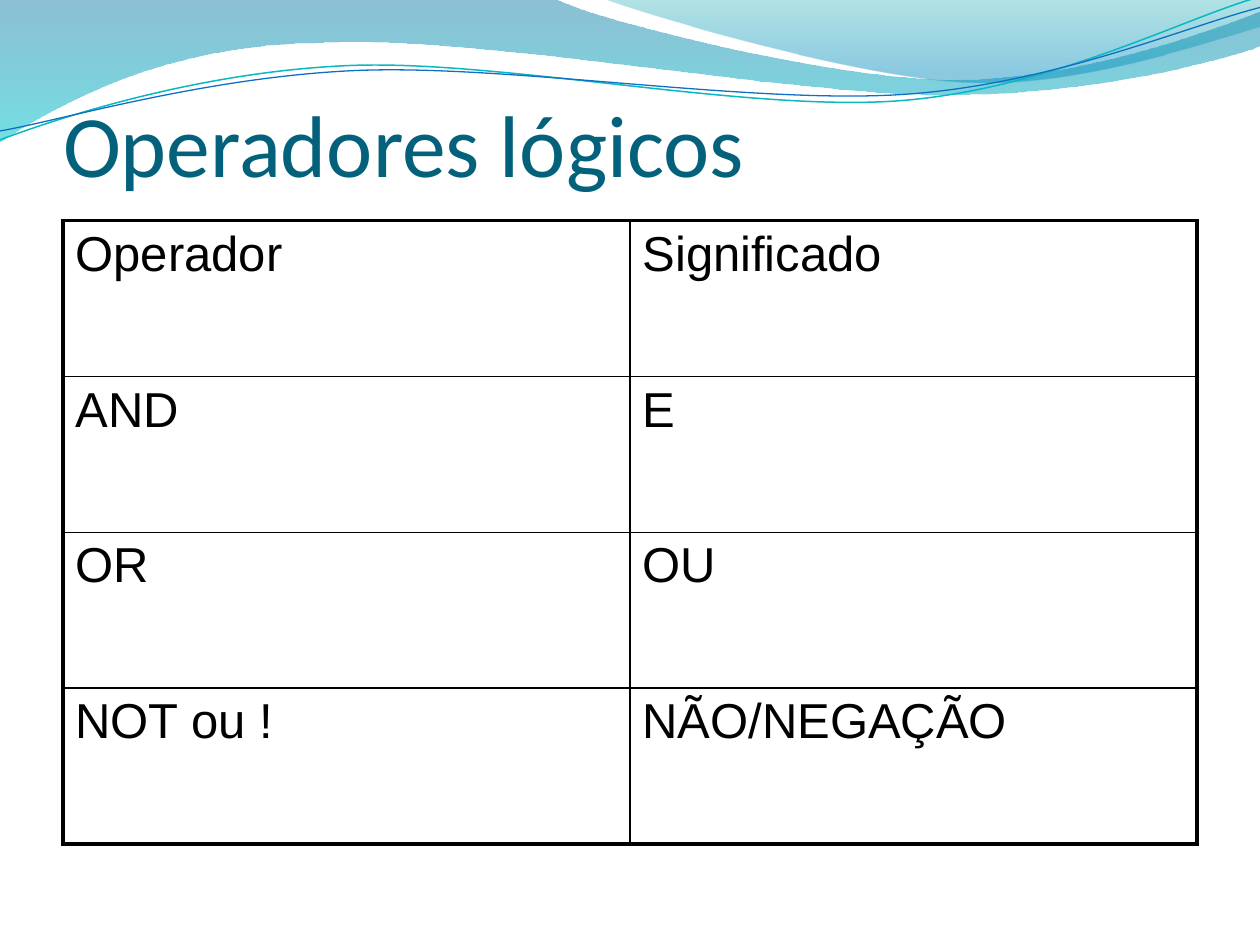
import math
from dataclasses import dataclass

from pptx import Presentation
from pptx.dml.color import RGBColor
from pptx.enum import text
from pptx.oxml import ns, xmlchemy
from pptx.util import Inches, Pt


@dataclass(frozen=True)
class Theme:
    title: str = "04617B"
    ink: str = "000000"
    teal: str = "0AB8BF"
    blue: str = "0F6FC6"
    # Gradient stops: position, colour, opacity in percent
    wave: tuple = ((0, "0074A1", 45), (1, "00C6CF", 55))
    crest: tuple = ((0, "00A1A9", 30), (0.8, "008BBF", 45))
    head: str = "Calibri"
    body: str = "Arial"
    big: float = 50
    mid: float = 28
    thick: float = 2.25
    thin: float = 1


THEME = Theme()
TILT = 2.7

# Outlines: one point is a straight line, three points are a Bezier curve
WAVE = [[(0, -0.01)], [(4.4, -0.01)],
        [(4.76, 0.17), (6.64, 0.63), (7.58, 0.63)],
        [(8.53, 0.63), (9.58, 0.26), (10, 0.09)], [(10.01, 0.36)],
        [(9.83, 0.44), (8.7, 0.76), (7.46, 0.75)],
        [(6.22, 0.75), (3.82, 0.28), (2.57, 0.34)],
        [(1.29, 0.35), (0.46, 0.83), (-0.01, 1.13)]]
CREST = [[(4.79, -0.01)], [(5.09, 0.11), (6.82, 0.62), (7.69, 0.65)],
         [(8.56, 0.69), (9.61, 0.32), (10, 0.21)], [(10, 0)]]
UPPER = [[(0, 1.11)], [(0.48, 0.93), (1.58, 0.57), (2.77, 0.52)],
         [(3.95, 0.47), (5.93, 0.89), (7.13, 0.8)],
         [(8.33, 0.71), (9.38, 0.15), (9.98, -0.02)]]
LOWER = [[(0, 1.04)], [(0.47, 0.96), (1.64, 0.61), (2.83, 0.56)],
         [(4.03, 0.51), (5.97, 0.83), (7.17, 0.75)],
         [(8.36, 0.67), (9.41, 0.21), (10, 0.06)]]

ROWS = [("Operador", "Significado"), ("AND", "E"), ("OR", "OU"),
        ("NOT ou !", "NÃO/NEGAÇÃO")]


def rgb(code):
    return RGBColor.from_string(code)


def turn(parts, mid):
    """Turn an outline clockwise by the tilt around a centre."""
    cos, sin = math.cos(math.radians(TILT)), math.sin(math.radians(TILT))
    return [[(mid[0] + (x - mid[0]) * cos - (y - mid[1]) * sin,
              mid[1] + (x - mid[0]) * sin + (y - mid[1]) * cos)
             for x, y in part] for part in parts]


def bend(shape, parts):
    """Join the line segments of each curve into one Bezier segment."""
    lines = list(shape.element.spPr.iter(ns.qn("a:lnTo")))
    for part in parts[1:]:
        group, lines = lines[:len(part)], lines[len(part):]
        if len(part) == 1:
            continue
        curve = xmlchemy.OxmlElement("a:cubicBezTo")
        group[0].addprevious(curve)
        for line in group:
            curve.append(line[0])
            line.getparent().remove(line)


def add_path(slide, parts, close):
    first, *rest = [(Inches(x), Inches(y)) for part in parts for x, y in part]
    pen = slide.shapes.build_freeform(*first)
    pen.add_line_segments(rest, close=close)
    shape = pen.convert_to_shape()
    bend(shape, parts)
    shape.shadow.inherit = False
    return shape


def add_band(slide, parts, stops):
    shape = add_path(slide, parts, True)
    shape.line.fill.background()
    shape.fill.gradient()
    shape.fill.gradient_angle = 270
    for stop, (place, code, _) in zip(shape.fill.gradient_stops, stops):
        stop.position = place
        stop.color.rgb = rgb(code)
    tints = shape.element.spPr.iter(ns.qn("a:srgbClr"))
    for tint, (_, _, alpha) in zip(tints, stops):
        node = xmlchemy.OxmlElement("a:alpha")
        node.set("val", str(alpha * 1000))
        tint.append(node)


def add_curve(slide, parts, mid, code, width):
    shape = add_path(slide, turn(parts, mid), False)
    shape.rotation = 360 - TILT
    shape.fill.background()
    shape.line.color.rgb = rgb(code)
    shape.line.width = Pt(width)


def style(par, font, size, code):
    par.alignment = text.PP_ALIGN.LEFT
    for run in par.runs:
        run.font.name = font
        run.font.size = Pt(size)
        run.font.color.rgb = rgb(code)


def set_title(slide, words):
    title = slide.shapes.title
    title.left, title.top = Inches(0.5), Inches(0.3)
    title.width, title.height = Inches(9), Inches(1.25)
    frame = title.text_frame
    frame.text = words
    frame.auto_size = text.MSO_AUTO_SIZE.NONE
    frame.vertical_anchor = text.MSO_ANCHOR.BOTTOM
    frame.margin_left = frame.margin_right = frame.margin_bottom = 0
    frame.margin_top = Inches(0.05)
    style(frame.paragraphs[0], THEME.head, THEME.big, THEME.title)
    # Bring the title in front of the waves
    slide.shapes.element.append(title.element)


def set_edges(cell, outer):
    """Draw the sides of a cell, thick where they are on the frame."""
    props = cell._tc.get_or_add_tcPr()
    for place, (side, edge) in enumerate(zip("LRTB", outer)):
        line = xmlchemy.OxmlElement("a:ln" + side)
        line.set("w", str(Pt(THEME.thick if edge else THEME.thin)))
        fill = xmlchemy.OxmlElement("a:solidFill")
        tint = xmlchemy.OxmlElement("a:srgbClr")
        tint.set("val", THEME.ink)
        fill.append(tint)
        line.append(fill)
        props.insert(place, line)


def add_grid(slide, rows):
    high, wide = len(rows), len(rows[0])
    table = slide.shapes.add_table(high, wide, Inches(0.5), Inches(1.75),
                                   Inches(9), Inches(4.95)).table
    table.first_row = table.horz_banding = False
    for r, row in enumerate(rows):
        for c, words in enumerate(row):
            cell = table.cell(r, c)
            cell.text_frame.text = words
            par = cell.text_frame.paragraphs[0]
            par.space_before = Pt(THEME.mid * 0.2)
            style(par, THEME.body, THEME.mid, THEME.ink)
            cell.fill.background()
            set_edges(cell, (c == 0, c == wide - 1, r == 0, r == high - 1))


def main():
    deck = Presentation()
    deck.slide_width, deck.slide_height = Inches(10), Inches(7.5)
    slide = deck.slides.add_slide(deck.slide_layouts[5])

    # Waves along the top
    add_band(slide, WAVE, THEME.wave)
    add_band(slide, CREST, THEME.crest)
    add_curve(slide, UPPER, (4.99, 0.58), THEME.teal, 0.85)
    add_curve(slide, LOWER, (5, 0.59), THEME.blue, 0.75)

    # Title and operator table
    set_title(slide, "Operadores lógicos")
    add_grid(slide, ROWS)
    deck.save("out.pptx")


if __name__ == "__main__":
    main()
